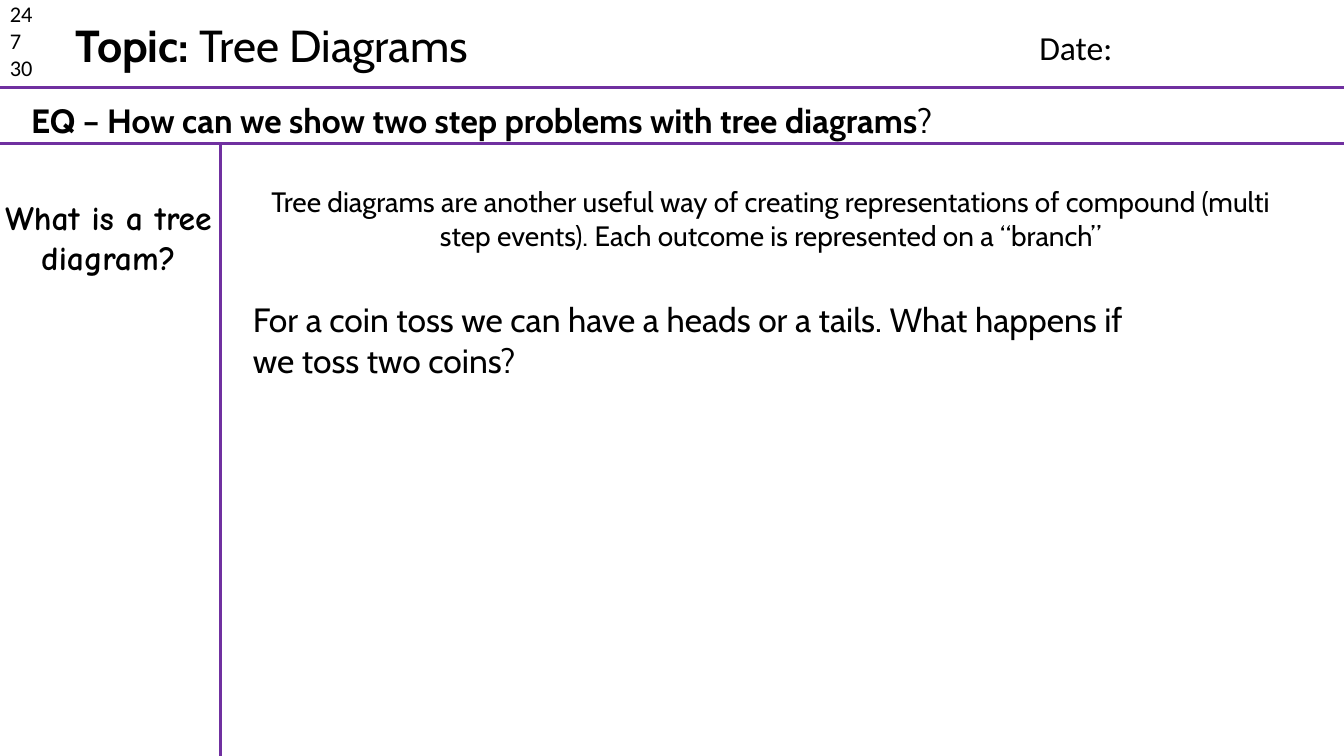
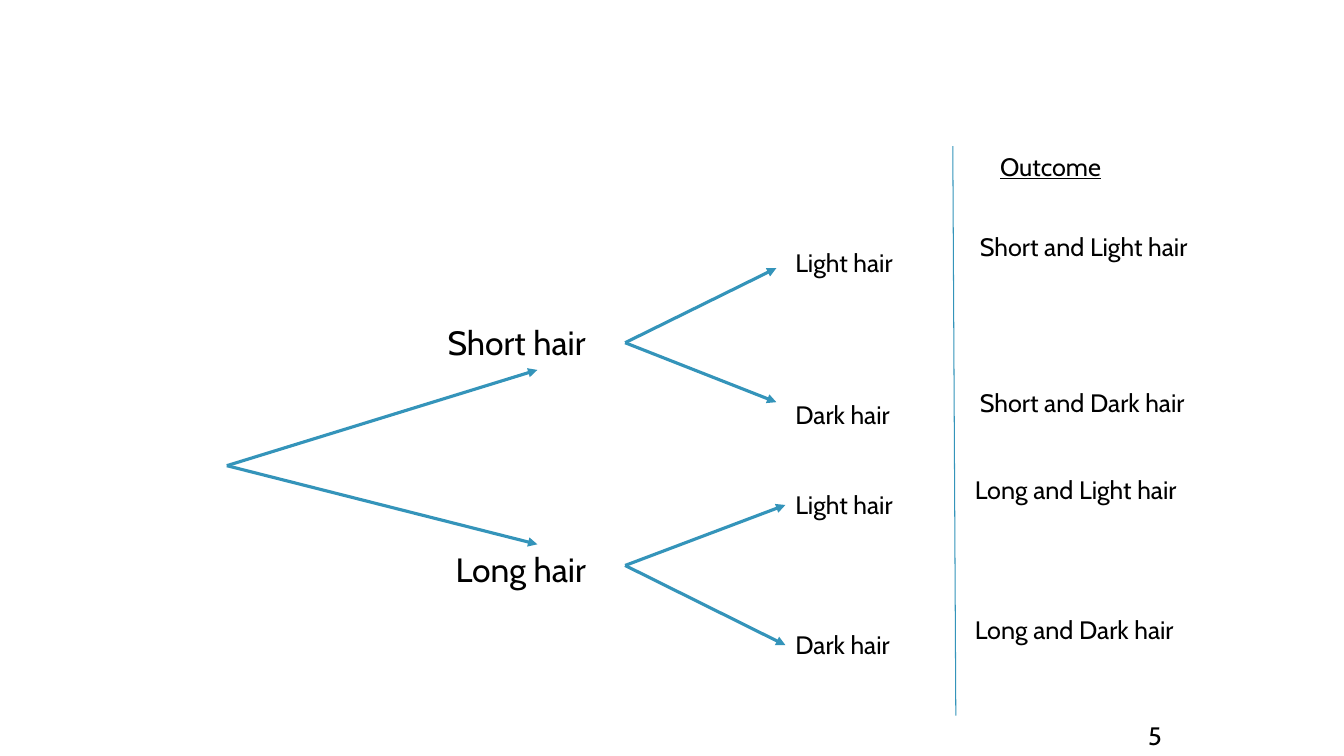
from lxml import etree
from pptx import Presentation, util as u
from pptx.dml.color import RGBColor
from pptx.enum import shapes, text
from pptx.oxml.ns import qn

WIDTH, HEIGHT = 13.33, 7.5
COLOURS = {"text": "000000", "rule": "7030A0", "branch": "3494BA"}
FONT, PLAIN_FONT, HAND_FONT = "Cabin", "Calibri", "Comic Neue"
LEFT, CENTRE = text.PP_ALIGN.LEFT, text.PP_ALIGN.CENTER

# Each paragraph is a list of (text, bold) runs.
TOPIC = [[("Topic: ", True), ("Tree Diagrams", False)]]
QUESTION = [[("EQ – How can we show two step problems with tree diagrams", True), ("?", False)]]
DATE_CODES = ["24", "7", "30"]
SIDE_NOTE = [[("What is a tree diagram?", True)]]
DEFINITION = ["Tree diagrams are another useful way of creating representations of compound "
              "(multi step events). Each outcome is represented on a “branch”"]
EXAMPLE = ["For a coin toss we can have a heads or a tails. What happens if we toss two coins?"]

HEADER_Y, QUESTION_Y, MARGIN_X = 0.87, 1.42, 2.19

ROOT = (2.25, 4.62)
FORK_X, LEAF_X = 6.2, 7.79
# Leaves: label, label top, arrow tip, outcome, outcome top.
TREE = [
    {"label": "Short hair", "at": (4.34, 3.14), "tip": (5.33, 3.67), "fork_y": 3.4,
     "outcome_x": 9.62, "leaves": [
         ("Light hair", 2.4, (7.7, 2.66), "Short and Light hair", 2.25),
         ("Dark hair", 3.91, (7.7, 3.99), "Short and Dark hair", 3.79)]},
    {"label": "Long hair", "at": (4.42, 5.4), "tip": (5.33, 5.4), "fork_y": 5.61,
     "outcome_x": 9.57, "leaves": [
         ("Light hair", 4.81, (7.79, 5.01), "Long and Light hair", 4.66),
         ("Dark hair", 6.19, (7.79, 6.4), "Long and Dark hair", 6.04)]},
]


def write(shape, paragraphs, size, font=FONT, align=LEFT, underline=None, inset=None):
    frame = shape.text_frame
    frame.word_wrap = True
    frame.auto_size = text.MSO_AUTO_SIZE.NONE
    frame.vertical_anchor = text.MSO_ANCHOR.TOP
    if inset is not None:
        frame.margin_left = frame.margin_right = u.Inches(inset)
        frame.margin_top = frame.margin_bottom = u.Inches(inset)
    for index, content in enumerate(paragraphs):
        paragraph = frame.add_paragraph() if index else frame.paragraphs[0]
        paragraph.alignment = align
        for words, bold in [(content, False)] if isinstance(content, str) else content:
            run = paragraph.add_run()
            run.text = words
            run.font.name, run.font.size = font, u.Pt(size)
            run.font.bold, run.font.underline = bold, underline
            run.font.color.rgb = RGBColor.from_string(COLOURS["text"])


def add_text(slide, box, paragraphs, size, **style):
    shape = slide.shapes.add_textbox(*map(u.Inches, box))
    write(shape, paragraphs, size, **style)


def add_line(slide, start, end, colour, width=2.25, arrow=False):
    line = slide.shapes.add_connector(
        shapes.MSO_CONNECTOR.STRAIGHT, *map(u.Inches, (*start, *end)))
    line.line.color.rgb = RGBColor.from_string(COLOURS[colour])
    line.line.width = u.Pt(width)
    if arrow:
        etree.SubElement(line.line._get_or_add_ln(), qn("a:tailEnd"), type="triangle")
    etree.SubElement(line._element.spPr, qn("a:effectLst"))


def build_notes_slide(presentation):
    slide = presentation.slides.add_slide(presentation.slide_layouts.get_by_name("Title Only"))
    for y in (HEADER_Y, QUESTION_Y):
        add_line(slide, (0, y), (WIDTH, y), "rule")
    add_line(slide, (MARGIN_X, QUESTION_Y), (MARGIN_X, HEIGHT), "rule")

    title = slide.shapes.title
    title.left, title.top, title.width, title.height = map(u.Inches, (0.65, 0.13, 4.87, 0.64))
    write(title, TOPIC, 32)
    add_text(slide, (0, -0.05, 0.63, 0.91), DATE_CODES, 16, font=PLAIN_FONT)
    add_text(slide, (10.21, 0.22, 2.36, 0.5), ["Date:"], 24, font=PLAIN_FONT)
    add_text(slide, (0.21, 0.94, 13.01, 0.5), QUESTION, 24)
    add_text(slide, (-0.12, 1.9, 2.39, 0.91), SIDE_NOTE, 24, font=HAND_FONT, align=CENTRE)
    add_text(slide, (2.41, 1.83, 10.47, 0.98), DEFINITION, 20, align=CENTRE, inset=0)
    add_text(slide, (2.41, 2.92, 9.15, 0.91), EXAMPLE, 24)


def build_tree_slide(presentation):
    slide = presentation.slides.add_slide(presentation.slide_layouts.get_by_name("Blank"))
    for branch in TREE:
        add_line(slide, ROOT, branch["tip"], "branch", arrow=True)
        add_text(slide, (*branch["at"], 1.79, 0.5), [branch["label"]], 24)
        for label, label_y, tip, outcome, outcome_y in branch["leaves"]:
            add_line(slide, (FORK_X, branch["fork_y"]), tip, "branch", arrow=True)
            add_text(slide, (LEAF_X, label_y, 1.7, 0.4), [label], 18)
            add_text(slide, (branch["outcome_x"], outcome_y, 2.38, 0.71), [outcome], 18)
    add_line(slide, (9.45, 1.45), (9.48, 7.1), "branch", width=0.75)
    add_text(slide, (9.82, 1.45, 1.39, 0.4), ["Outcome"], 18, underline=True)
    add_text(slide, (11.29, 7.1, 0.54, 0.4), ["5"], 18)


def main():
    presentation = Presentation()
    presentation.slide_width, presentation.slide_height = u.Inches(WIDTH), u.Inches(HEIGHT)
    build_notes_slide(presentation)
    build_tree_slide(presentation)
    presentation.save("out.pptx")


if __name__ == "__main__":
    main()
